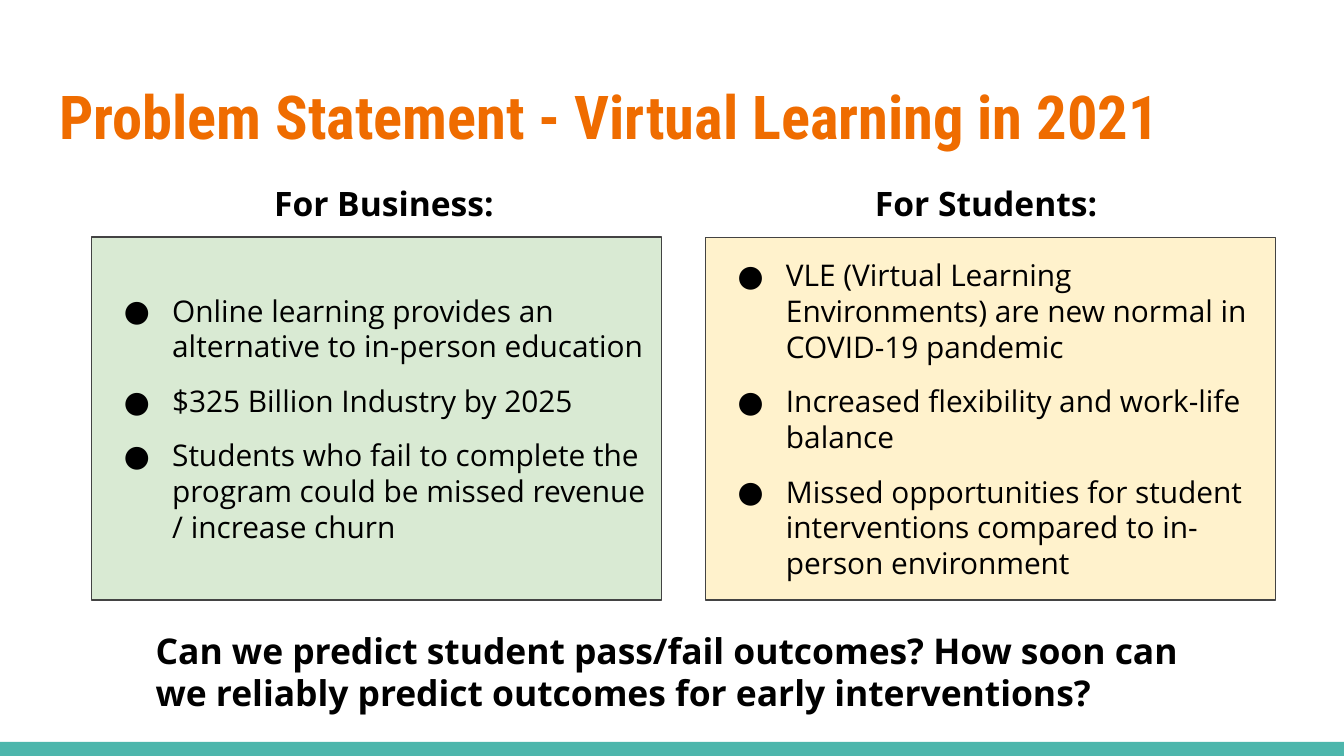
import pptx
import pptx.util
import pptx.oxml
import pptx.dml.color
import pptx.enum.text
import pptx.enum.shapes
from dataclasses import dataclass

Inches, Pt = pptx.util.Inches, pptx.util.Pt
RGB = pptx.dml.color.RGBColor
Align, Anchor = pptx.enum.text.PP_ALIGN, pptx.enum.text.MSO_ANCHOR
RECT = pptx.enum.shapes.MSO_SHAPE.RECTANGLE

BLACK = RGB(0x00, 0x00, 0x00)
WHITE = RGB(0xFF, 0xFF, 0xFF)
ORANGE = RGB(0xEF, 0x6C, 0x00)
TEAL = RGB(0x4D, 0xB6, 0xAC)
GREEN = RGB(0xD9, 0xEA, 0xD3)
CREAM = RGB(0xFF, 0xF2, 0xCC)
GRAY = RGB(0x43, 0x43, 0x43)

WIDE = Inches(10)
HIGH = WIDE * 9 // 16
CELL = WIDE // 100
BODY = {"name": "Open Sans", "size": Pt(16), "bold": False}
HEAD = BODY | {"size": Pt(18), "bold": True}
ASK = HEAD | {"size": Pt(19)}
TITLE = {"name": "Roboto Condensed", "size": Pt(32.4), "bold": True}
FRAME = {"word_wrap": True, "auto_size": pptx.enum.text.MSO_AUTO_SIZE.NONE}
FRAME |= {f"margin_{side}": Inches(0.1) for side in ("left", "top", "right", "bottom")}


@dataclass
class Box:
    """Hold a place in columns and rows of a square grid, 100 columns wide."""
    left: float
    top: float
    width: float
    height: float

    def size(self) -> list:
        """Give left, top, width and height as lengths."""
        return [round(CELL * part) for part in (self.left, self.top, self.width, self.height)]


@dataclass
class Panel:
    """Hold one column: its heading, its fill and its points."""
    head: str
    head_at: Box
    at: Box
    fill: RGB
    lead: int
    points: list


def style(item, looks: dict) -> None:
    """Set each attribute named in looks."""
    for name, value in looks.items():
        setattr(item, name, value)


def write(shape, lines: list, font: dict, color: RGB, align=Align.LEFT, anchor=Anchor.TOP) -> list:
    """Fill a shape with one paragraph a line and return the paragraphs."""
    frame = shape.text_frame
    style(frame, FRAME | {"vertical_anchor": anchor})
    frame.text = "\n".join(lines)
    for para in frame.paragraphs:
        style(para, {"alignment": align, "space_before": Pt(0), "space_after": Pt(0)})
        for run in para.runs:
            style(run.font, font)
            run.font.color.rgb = color
    return list(frame.paragraphs)


def block(slide, at: Box, fill: RGB):
    """Draw a plain filled box."""
    shape = slide.shapes.add_shape(RECT, *at.size())
    shape.shadow.inherit = False
    shape.fill.solid()
    shape.fill.fore_color.rgb = fill
    shape.line.fill.background()
    return shape


def label(slide, at: Box, text: str, font: dict, align=Align.LEFT) -> None:
    """Write a line of free text."""
    write(slide.shapes.add_textbox(*at.size()), [text], font, BLACK, align)


def bullet(para) -> None:
    """Give a paragraph a round black bullet and a hanging indent."""
    props = para._p.get_or_add_pPr()
    props.set("marL", str(Inches(0.5)))
    props.set("indent", str(Inches(-0.36)))
    space = 'xmlns:a="http://schemas.openxmlformats.org/drawingml/2006/main"'
    for mark in (f'<a:buClr {space}><a:srgbClr val="{BLACK}"/></a:buClr>',
                 f'<a:buSzPts {space} val="1600"/>',
                 f'<a:buFont {space} typeface="Open Sans"/>',
                 f'<a:buChar {space} char="●"/>'):
        props.append(pptx.oxml.parse_xml(mark))


def column(slide, panel: Panel) -> None:
    """Draw a heading over a framed list."""
    label(slide, panel.head_at, panel.head, HEAD, Align.CENTER)
    shape = block(slide, panel.at, panel.fill)
    shape.line.color.rgb = GRAY
    shape.line.width = Pt(0.75)
    paras = write(shape, panel.points, BODY, BLACK, anchor=Anchor.MIDDLE)
    for para in paras:
        para.space_before = Pt(10)
    paras[0].space_before = Pt(panel.lead)
    paras[-1].space_after = Pt(10)
    for para in paras:
        bullet(para)


PANELS = [
    Panel("For Business: ", Box(10.6, 12.6, 36.6, 5), Box(6.83, 17.64, 42.4, 27), GREEN, 10,
          ["Online learning provides an alternative to in-person education",
           "$325 Billion Industry by 2025",
           "Students who fail to complete the program could be missed revenue / increase churn"]),
    Panel("For Students: ", Box(55.4, 12.6, 36.6, 5), Box(52.5, 17.66, 42.4, 27), CREAM, 0,
          ["VLE (Virtual Learning Environments) are new normal in COVID-19 pandemic",
           "Increased flexibility and work-life balance",
           "Missed opportunities for student interventions compared to in-person environment"]),
]


def main() -> None:
    """Build the slide and save it."""
    deck = pptx.Presentation()
    style(deck, {"slide_width": WIDE, "slide_height": HIGH})
    slide = deck.slides.add_slide(deck.slide_layouts[5])
    slide.background.fill.solid()
    slide.background.fill.fore_color.rgb = WHITE
    block(slide, Box(0, 55.2, 100, 1.05), TEAL)
    title = slide.shapes.title
    place = Box(3.4, 4.9, 93.2, 7.7).size()
    style(title, dict(zip(("left", "top", "width", "height"), place)))
    write(title, ["Problem Statement - Virtual Learning in 2021"], TITLE, ORANGE)
    for panel in PANELS:
        column(slide, panel)
    label(slide, Box(10.6, 45.8, 79.2, 8.4),
          "Can we predict student pass/fail outcomes? "
          "How soon can we reliably predict outcomes for early interventions?", ASK)
    deck.save("out.pptx")


if __name__ == "__main__":
    main()
